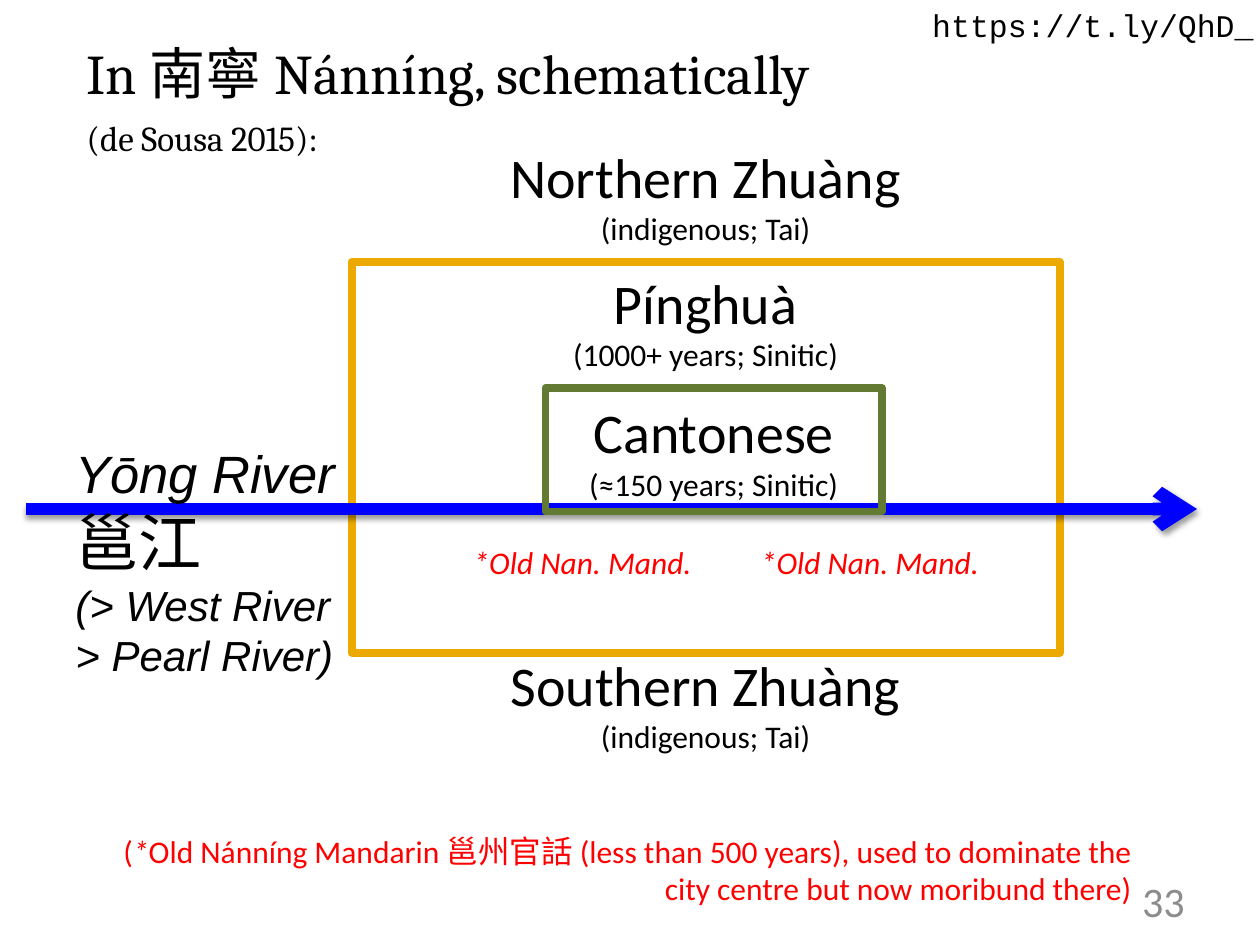
import pptx
import pptx.util
import pptx.dml.color
import pptx.enum.shapes
import pptx.enum.text
import pptx.oxml
import pptx.oxml.ns
from lxml import etree

Inches = pptx.util.Inches
Pt = pptx.util.Pt
ALIGN = pptx.enum.text.PP_ALIGN
ANCHOR = pptx.enum.text.MSO_ANCHOR
qn = pptx.oxml.ns.qn

BLACK, RED, BLUE = "000000", "FF0000", "0000FF"
GOLD, GREEN, GREY = "ECA900", "627A32", "8C8C8C"
CJK = "Noto Sans CJK SC"


def colour(value):
    return pptx.dml.color.RGBColor.from_string(value)


def run(text, size=18, font="Calibri", color=BLACK, italic=False):
    return {"text": text, "size": size, "font": font, "color": color, "italic": italic}


def add_span(para, text, size, font, color, italic):
    span = para.add_run()
    span.text = text
    span.font.size = Pt(size)
    span.font.name = font
    span.font.italic = italic
    span.font.color.rgb = colour(color)
    if font == CJK:
        east_asian = etree.SubElement(span.font._element, qn("a:ea"))
        east_asian.set("typeface", font)


def fill_text(box, paragraphs, align=ALIGN.LEFT, anchor=ANCHOR.TOP, wrap=True, gap=0, indent=None):
    """Write paragraphs, each a list of runs, into a box."""
    frame = box.text_frame
    frame.word_wrap = wrap
    frame.vertical_anchor = anchor
    for index, runs in enumerate(paragraphs):
        para = frame.add_paragraph() if index else frame.paragraphs[0]
        para.alignment = align
        if index and gap:
            para.space_before = Pt(gap)
        if indent:
            left, first = indent
            properties = para._p.get_or_add_pPr()
            properties.set("marL", str(Inches(left)))
            properties.set("indent", str(Inches(first)))
        for settings in runs:
            add_span(para, **settings)


def add_text(page, left, top, width, height, paragraphs, **layout):
    box = page.shapes.add_textbox(Inches(left), Inches(top), Inches(width), Inches(height))
    fill_text(box, paragraphs, **layout)


def add_frame(page, left, top, width, height, color, paragraphs, **layout):
    """Add an unfilled rectangle with a thick round-joined outline."""
    box = page.shapes.add_shape(pptx.enum.shapes.MSO_SHAPE.RECTANGLE,
                                Inches(left), Inches(top), Inches(width), Inches(height))
    box.shadow.inherit = False
    box.fill.background()
    box.line.color.rgb = colour(color)
    box.line.width = Pt(4.5)
    etree.SubElement(box.line._get_or_add_ln(), qn("a:round"))
    fill_text(box, paragraphs, align=ALIGN.CENTER, **layout)


def add_river(page, left, right, height):
    arrow = page.shapes.add_connector(pptx.enum.shapes.MSO_CONNECTOR.STRAIGHT,
                                      Inches(left), Inches(height), Inches(right), Inches(height))
    arrow.line.color.rgb = colour(BLUE)
    arrow.line.width = Pt(7.25)
    etree.SubElement(arrow.line._get_or_add_ln(), qn("a:tailEnd")).set("type", "arrow")
    # Soft shadow straight below the line
    effects = etree.SubElement(arrow._element.spPr, qn("a:effectLst"))
    shadow = etree.SubElement(effects, qn("a:outerShdw"), blurRad=str(Pt(3.1)),
                              dist=str(Pt(1.6)), dir="5400000", rotWithShape="0")
    tint = etree.SubElement(shadow, qn("a:srgbClr"), val=BLACK)
    etree.SubElement(tint, qn("a:alpha"), val="38000")


def language(name, detail):
    return [[run(name, size=32)], [run(detail)]]


def main():
    deck = pptx.Presentation()
    deck.slide_width, deck.slide_height = Inches(10), Inches(7.5)
    page = deck.slides.add_slide(deck.slide_layouts[6])

    # Title
    add_text(page, 0.5, 0.26, 9, 0.83, [
        [run("In ", 32, "Cambria"), run("南寧 ", 32, CJK),
         run("Nánníng, schematically", 32, "Cambria")],
        [run("(de Sousa 2015):", 20, "Cambria")],
    ], gap=6, indent=(0.4, -0.31))

    # Languages around the city
    for name, top in (("Northern Zhuàng", 1.08), ("Southern Zhuàng", 5.11)):
        add_text(page, 2.79, top, 5.62, 0.95, language(name, "(indigenous; Tai)"),
                 align=ALIGN.CENTER)

    # City, river and centre
    add_frame(page, 2.79, 2.08, 5.62, 3.1, GOLD, language("Pínghuà", "(1000+ years; Sinitic)"))
    add_river(page, 0.21, 9.5, 4.04)
    add_text(page, 0.5, 3.45, 2.29, 2.02, [
        [run("Yōng River", 30, "Arial", italic=True)],
        [run("邕江", 36, CJK)],
        [run("(> West River", 24, "Arial", italic=True)],
        [run("> Pearl River)", 24, "Arial", italic=True)],
    ])
    add_frame(page, 4.33, 3.08, 2.67, 0.98, GREEN,
              language("Cantonese", "(≈150 years; Sinitic)"), anchor=ANCHOR.MIDDLE)

    # Old Mandarin labels and their footnote
    for left in (3.66, 5.94):
        add_text(page, left, 4.26, 2.01, 0.4,
                 [[run("*Old Nan. Mand.", color=RED, italic=True)]], wrap=False)
    add_text(page, 0.5, 6.55, 8.58, 0.71, [[
        run("(", color=RED),
        run("*", color=RED, italic=True),
        run("Old Nánníng Mandarin ", color=RED),
        run("邕州官話 ", font=CJK, color=RED),
        run("(less than 500 years), used to dominate the city centre "
            "but now moribund there)", color=RED),
    ]], align=ALIGN.RIGHT)

    # Page number and web address
    add_text(page, 7.17, 6.95, 2.33, 0.4, [[run("33", 24, color=GREY)]],
             align=ALIGN.RIGHT, anchor=ANCHOR.MIDDLE)
    add_text(page, 7.3, 0, 2.78, 0.4, [[run("https://t.ly/QhD_", font="Courier New")]], wrap=False)

    deck.save("out.pptx")


if __name__ == "__main__":
    main()
